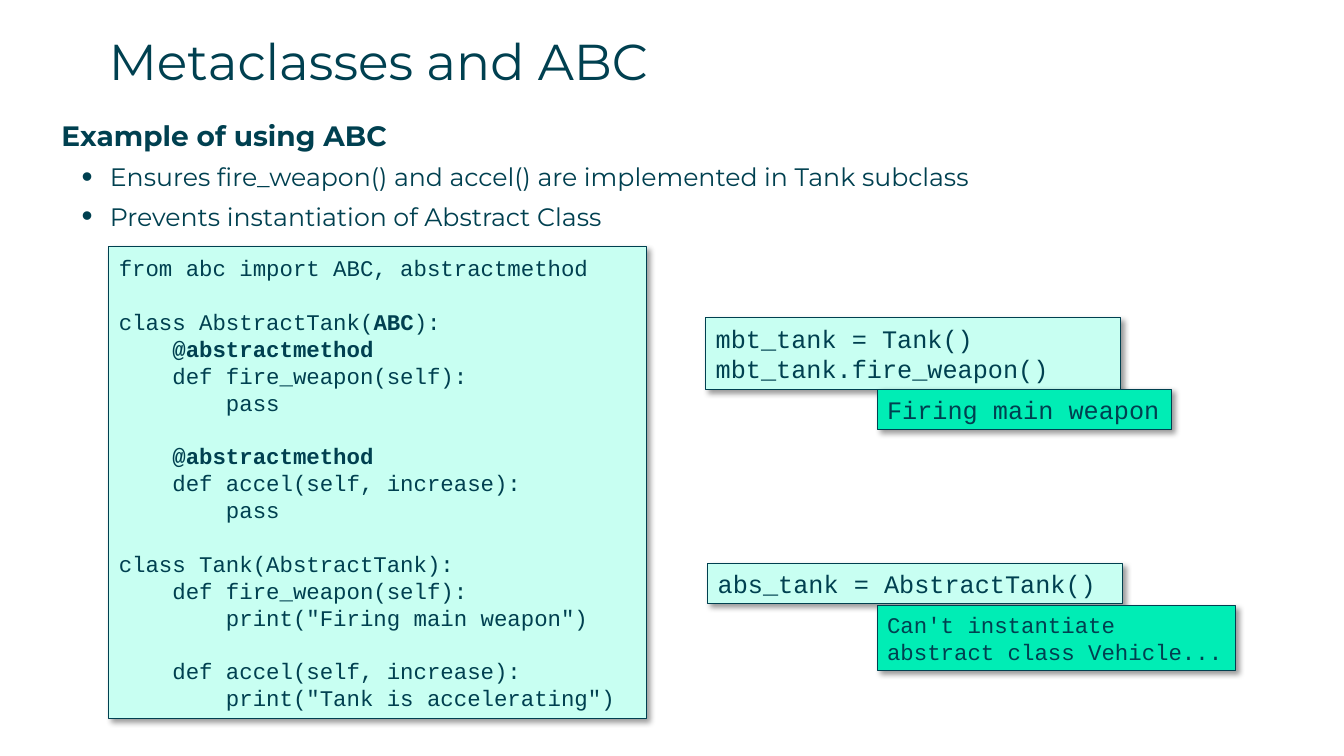
import dataclasses

import lxml.etree
import pptx
import pptx.dml.color
import pptx.enum.shapes
import pptx.enum.text
import pptx.oxml
import pptx.oxml.ns
import pptx.util

Inches = pptx.util.Inches
Pt = pptx.util.Pt


@dataclasses.dataclass(frozen=True)
class Theme:
    """Colours, fonts and type sizes of the slide."""
    ink: str = "004050"
    code_fill: str = "C8FFF2"
    output_fill: str = "00EDB5"
    text_font: str = "Montserrat"
    code_font: str = "Courier New"
    title_size: float = 36
    heading_size: float = 20
    body_size: float = 18
    code_size: float = 18
    small_code_size: float = 16
    paragraph_gap: float = 6.5
    code_leading: float = 1.2


SHADOW = (
    f'<a:effectLst {pptx.oxml.ns.nsdecls("a")}>'
    '<a:outerShdw blurRad="50800" dist="38100" dir="2700000" algn="tl" rotWithShape="0">'
    '<a:srgbClr val="000000"><a:alpha val="40000"/></a:srgbClr>'
    '</a:outerShdw></a:effectLst>'
)

TANK_CLASSES = """from abc import ABC, abstractmethod

class AbstractTank(**ABC**):
**    @abstractmethod**
    def fire_weapon(self):
        pass

**    @abstractmethod**
    def accel(self, increase):
        pass

class Tank(AbstractTank):
    def fire_weapon(self):
        print("Firing main weapon")

    def accel(self, increase):
        print("Tank is accelerating")"""


class SlideBuilder:
    """Adds styled elements to one slide."""

    def __init__(self, slide, theme):
        self.slide = slide
        self.theme = theme

    def run(self, paragraph, text, font, size, bold=False):
        """Add one styled run to a paragraph."""
        run = paragraph.add_run()
        run.text = text
        run.font.name = font
        run.font.size = Pt(size)
        run.font.bold = bold
        run.font.color.rgb = pptx.dml.color.RGBColor.from_string(self.theme.ink)

    def text_frame(self, left, top, width, height):
        """Add a wrapping text box without margins."""
        box = self.slide.shapes.add_textbox(Inches(left), Inches(top), Inches(width), Inches(height))
        frame = box.text_frame
        frame.word_wrap = True
        frame.margin_left = frame.margin_right = frame.margin_top = frame.margin_bottom = 0
        return frame

    def title(self, text):
        """Add the slide title."""
        frame = self.text_frame(1.08, 0.3, 12, 0.88)
        self.run(frame.paragraphs[0], text, self.theme.text_font, self.theme.title_size)

    def bullet(self, paragraph):
        """Give a paragraph a hanging bullet."""
        properties = paragraph._p.get_or_add_pPr()
        properties.set("marL", str(Inches(0.48)))
        properties.set("indent", str(Inches(-0.28)))
        properties.set("lvl", "1")
        for tag, name, value in (("a:buSzPct", "val", "125000"),
                                 ("a:buFont", "typeface", "Arial"),
                                 ("a:buChar", "char", "•")):
            lxml.etree.SubElement(properties, pptx.oxml.ns.qn(tag)).set(name, value)

    def body(self, heading, points):
        """Add a bold heading with bullet points below it."""
        frame = self.text_frame(0.61, 1.18, 12.59, 1.2)
        paragraph = frame.paragraphs[0]
        paragraph.space_after = Pt(self.theme.paragraph_gap)
        self.run(paragraph, heading, self.theme.text_font, self.theme.heading_size, True)
        for point in points:
            paragraph = frame.add_paragraph()
            self.bullet(paragraph)
            paragraph.space_after = Pt(self.theme.paragraph_gap)
            self.run(paragraph, point, self.theme.text_font, self.theme.body_size)

    def code(self, text, left, top, width, height, fill, size):
        """Add a code panel, with ** marking bold and empty lines set as spacing."""
        shape = self.slide.shapes.add_shape(
            pptx.enum.shapes.MSO_SHAPE.RECTANGLE,
            Inches(left), Inches(top), Inches(width), Inches(height))
        shape.fill.solid()
        shape.fill.fore_color.rgb = pptx.dml.color.RGBColor.from_string(fill)
        shape.line.color.rgb = pptx.dml.color.RGBColor.from_string(self.theme.ink)
        shape.line.width = Pt(0.75)
        shape._element.spPr.append(pptx.oxml.parse_xml(SHADOW))
        frame = shape.text_frame
        frame.word_wrap = True
        frame.vertical_anchor = pptx.enum.text.MSO_ANCHOR.MIDDLE
        leading = Pt(size * self.theme.code_leading)
        paragraph = frame.paragraphs[0]
        for block_index, block in enumerate(text.split("\n\n")):
            for line_index, line in enumerate(block.split("\n")):
                if block_index or line_index:
                    paragraph = frame.add_paragraph()
                paragraph.alignment = pptx.enum.text.PP_ALIGN.LEFT
                paragraph.line_spacing = leading
                if block_index and not line_index:
                    paragraph.space_before = leading
                for part_index, part in enumerate(line.split("**")):
                    if part:
                        self.run(paragraph, part, self.theme.code_font, size, part_index % 2 == 1)


def main():
    """Build the slide and save it."""
    presentation = pptx.Presentation()
    presentation.slide_width = Inches(13.33)
    presentation.slide_height = Inches(7.5)
    theme = Theme()
    slide = presentation.slides.add_slide(presentation.slide_layouts[6])
    builder = SlideBuilder(slide, theme)
    builder.title("Metaclasses and ABC")
    builder.body("Example of using ABC", [
        "Ensures fire_weapon() and accel() are implemented in Tank subclass",
        "Prevents instantiation of Abstract Class",
    ])
    builder.code(TANK_CLASSES, 1.08, 2.45, 5.33, 4.68, theme.code_fill, theme.small_code_size)
    builder.code("mbt_tank = Tank()\nmbt_tank.fire_weapon()",
                 7, 3.15, 4.11, 0.71, theme.code_fill, theme.code_size)
    builder.code("Firing main weapon", 8.7, 3.86, 2.92, 0.4, theme.output_fill, theme.code_size)
    builder.code("abs_tank = AbstractTank()",
                 7.02, 5.59, 4.11, 0.4, theme.code_fill, theme.code_size)
    builder.code("Can't instantiate abstract class Vehicle...",
                 8.7, 6.01, 3.55, 0.64, theme.output_fill, theme.small_code_size)
    presentation.save("out.pptx")


if __name__ == "__main__":
    main()
